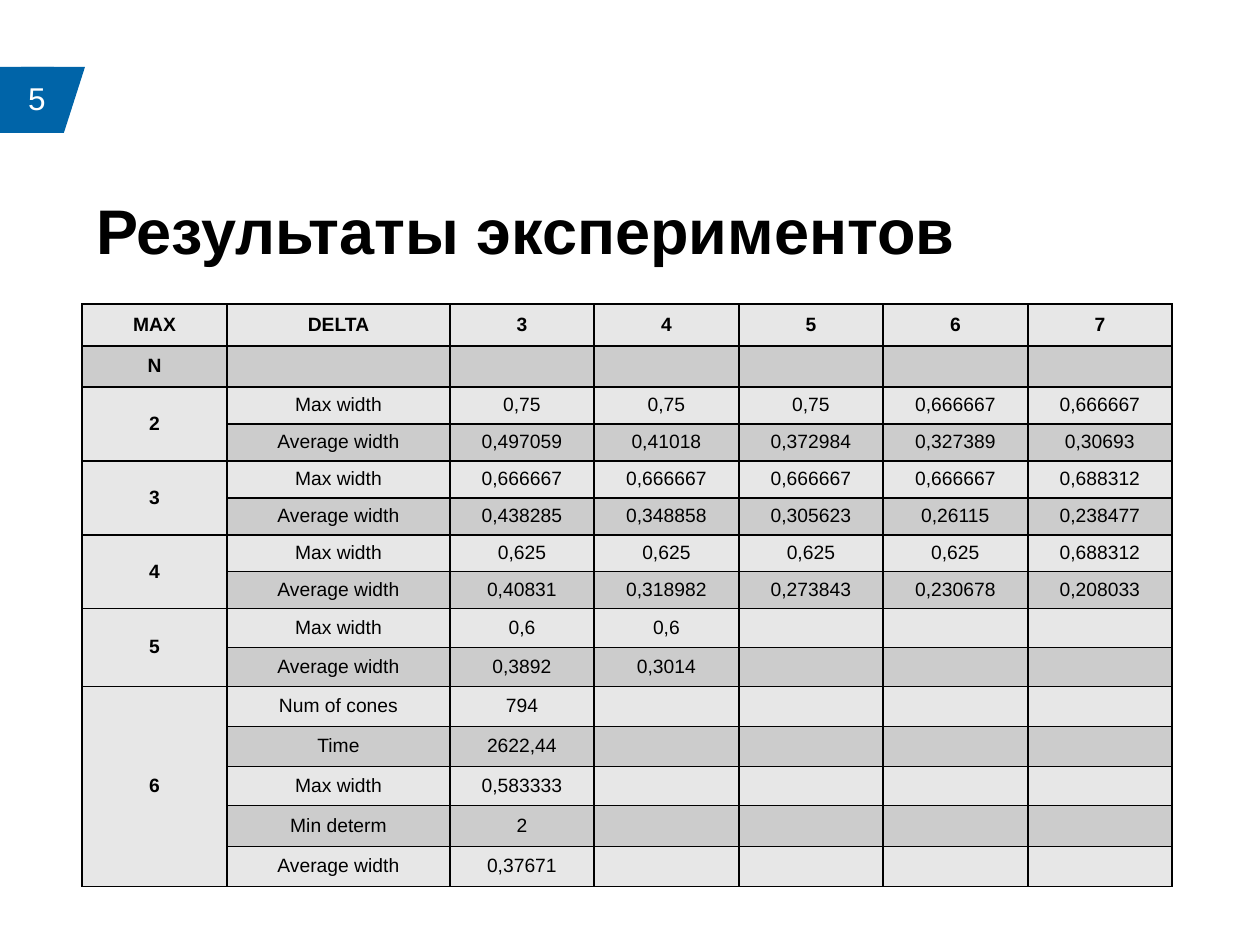
from lxml import etree
from pptx import Presentation
from pptx.dml.color import RGBColor
from pptx.enum.shapes import MSO_SHAPE as Shape
from pptx.enum.text import MSO_ANCHOR as Anchor, PP_ALIGN as Align
from pptx.oxml.ns import qn
from pptx.util import Pt

# Content
TITLE = "Результаты экспериментов"
PAGE_NUMBER = "5"
HEADER = [
    ("MAX", "DELTA", "3", "4", "5", "6", "7"),
    ("N",),
]
GROUPS = [  # N, then the rows measured for it
    ("2", [("Max width", "0,75", "0,75", "0,75", "0,666667", "0,666667"),
           ("Average width", "0,497059", "0,41018", "0,372984", "0,327389", "0,30693")]),
    ("3", [("Max width", "0,666667", "0,666667", "0,666667", "0,666667", "0,688312"),
           ("Average width", "0,438285", "0,348858", "0,305623", "0,26115", "0,238477")]),
    ("4", [("Max width", "0,625", "0,625", "0,625", "0,625", "0,688312"),
           ("Average width", "0,40831", "0,318982", "0,273843", "0,230678", "0,208033")]),
    ("5", [("Max width", "0,6", "0,6"),
           ("Average width", "0,3892", "0,3014")]),
    ("6", [("Num of cones", "794"),
           ("Time", "2622,44"),
           ("Max width", "0,583333"),
           ("Min determ", "2"),
           ("Average width", "0,37671")]),
]

# Format
BLACK = RGBColor(0x00, 0x00, 0x00)
WHITE = RGBColor(0xFF, 0xFF, 0xFF)
BLUE = RGBColor(0x00, 0x64, 0xA8)
BANDS = (RGBColor(0xE7, 0xE7, 0xE7), RGBColor(0xCC, 0xCC, 0xCC))
TITLE_FONT = {"name": "Arial", "size": Pt(36), "bold": True}
BADGE_FONT = {"name": "Arial", "size": Pt(18), "bold": False}
CELL_FONT = {"name": "Arial", "size": Pt(11)}

# Layout in px, 126 to the inch
COLUMN_WIDTHS = [145, 223, 144, 145, 144, 145, 144]
ROW_HEIGHTS = [42, 41] + [37] * 8 + [40, 40, 39, 41, 40]
TABLE_LEFT, TABLE_TOP = 82, 304


def px(value):
    return round(value * 914400 / 126)


def set_values(target, values):
    for name, value in values.items():
        setattr(target, name, value)


def write(frame, text, font, color, **paragraph_format):
    paragraph = frame.paragraphs[0]
    set_values(paragraph, paragraph_format)
    if text:
        run = paragraph.add_run()
        run.text = text
        set_values(run.font, font)
        run.font.color.rgb = color


def add_blue_shape(slide, kind, left, top, width, height):
    shape = slide.shapes.add_shape(kind, px(left), px(top), px(width), px(height))
    shape.shadow.inherit = False
    shape.fill.solid()
    shape.fill.fore_color.rgb = BLUE
    shape.line.fill.background()
    return shape


def add_borders(cell):
    properties = cell._tc.get_or_add_tcPr()
    for index, side in enumerate(("lnL", "lnR", "lnT", "lnB")):
        line = etree.Element(qn("a:" + side), w=str(Pt(1)))
        fill = etree.SubElement(line, qn("a:solidFill"))
        etree.SubElement(fill, qn("a:srgbClr"), val=str(BLACK))
        properties.insert(index, line)


def add_results_table(slide):
    rows = list(HEADER)
    spans = []
    for number, measures in GROUPS:
        spans.append((len(rows), len(rows) + len(measures) - 1))
        rows += [(number if index == 0 else "",) + measure
                 for index, measure in enumerate(measures)]

    frame = slide.shapes.add_table(
        len(rows), len(COLUMN_WIDTHS), px(TABLE_LEFT), px(TABLE_TOP),
        px(sum(COLUMN_WIDTHS)), px(sum(ROW_HEIGHTS)))
    table = frame.table
    set_values(table, {"first_row": False, "horz_banding": False})
    for column, width in zip(table.columns, COLUMN_WIDTHS):
        column.width = px(width)
    for row, height in zip(table.rows, ROW_HEIGHTS):
        row.height = px(height)

    for r, texts in enumerate(rows):
        for c in range(len(COLUMN_WIDTHS)):
            cell = table.cell(r, c)
            set_values(cell, {
                "margin_left": px(1), "margin_right": px(1), "margin_top": px(1),
                "margin_bottom": 0, "vertical_anchor": Anchor.MIDDLE})
            cell.fill.solid()
            cell.fill.fore_color.rgb = BANDS[0 if c == 0 and r > 1 else r % 2]
            add_borders(cell)
            bold = c == 0 or r < len(HEADER)
            write(cell.text_frame, texts[c] if c < len(texts) else "",
                  {**CELL_FONT, "bold": bold}, BLACK,
                  alignment=Align.CENTER, line_spacing=0.93)
    for first, last in spans:
        table.cell(first, 0).merge(table.cell(last, 0))


def main():
    presentation = Presentation()
    presentation.slide_width, presentation.slide_height = px(1260), px(945)
    slide = presentation.slides.add_slide(presentation.slide_layouts[6])

    # Page number badge
    add_blue_shape(slide, Shape.RECTANGLE, 0, 67, 54, 66)
    badge = add_blue_shape(slide, Shape.PARALLELOGRAM, 0, 67, 85, 66)
    badge.adjustments[0] = 0.32
    set_values(badge.text_frame, {
        "margin_left": 0, "margin_right": px(11), "margin_top": 0,
        "margin_bottom": 0, "vertical_anchor": Anchor.MIDDLE})
    write(badge.text_frame, PAGE_NUMBER, BADGE_FONT, WHITE,
          alignment=Align.CENTER, line_spacing=0.93)

    # Title
    title = slide.shapes.add_textbox(px(84), px(180), px(1058), px(680))
    set_values(title.text_frame, {"word_wrap": True, "margin_top": px(12)})
    write(title.text_frame, TITLE, TITLE_FONT, BLACK)

    # Results
    add_results_table(slide)
    presentation.save("out.pptx")


if __name__ == "__main__":
    main()
